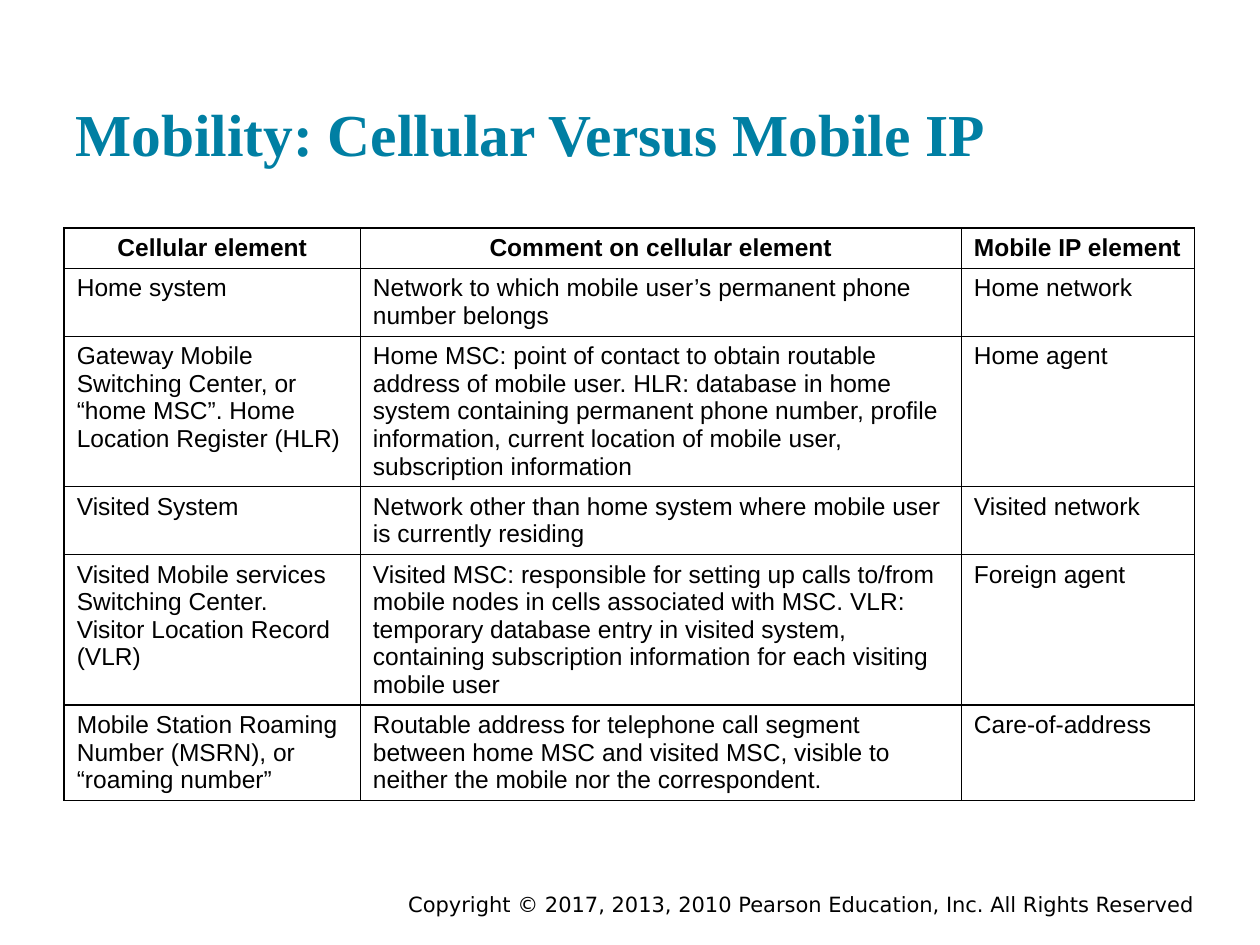
from dataclasses import dataclass

from lxml import etree
from pptx import Presentation
from pptx.dml.color import RGBColor
from pptx.enum.text import MSO_ANCHOR as Anchor, MSO_AUTO_SIZE as AutoSize, PP_ALIGN as Align
from pptx.oxml.ns import qn
from pptx.util import Inches, Pt


@dataclass(frozen=True)
class Theme:
    title_color: str = "007FA3"
    ink: str = "000000"
    title_font: str = "Times New Roman"
    table_font: str = "Arial"
    footer_font: str = "DejaVu Sans"
    title_size: int = 34
    table_size: int = 14
    footer_size: int = 12
    border_width: int = 1


THEME = Theme()

TITLE = "Mobility: Cellular Versus Mobile IP"
COPYRIGHT = "Copyright © 2017, 2013, 2010 Pearson Education, Inc. All Rights Reserved"

COLUMN_WIDTHS = [2.35, 4.77, 1.85]
ROW_HEIGHTS = [0.32, 0.54, 1.19, 0.54, 1.19, 0.76]
HEADER_ALIGNS = [Align.CENTER, Align.CENTER, Align.LEFT]
ROWS = [
    ("Cellular element", "Comment on cellular element", "Mobile IP element"),
    ("Home system",
     "Network to which mobile user’s permanent phone number belongs",
     "Home network"),
    ("Gateway Mobile Switching Center, or “home MSC”. Home Location Register (HLR)",
     "Home MSC: point of contact to obtain routable address of mobile user. "
     "HLR: database in home system containing permanent phone number, profile "
     "information, current location of mobile user, subscription information",
     "Home agent"),
    ("Visited System",
     "Network other than home system where mobile user is currently residing",
     "Visited network"),
    ("Visited Mobile services Switching Center.\nVisitor Location Record (VLR)",
     "Visited MSC: responsible for setting up calls to/from mobile nodes in cells "
     "associated with MSC. VLR: temporary database entry in visited system, "
     "containing subscription information for each visiting mobile user",
     "Foreign agent"),
    ("Mobile Station Roaming Number (MSRN), or “roaming number”",
     "Routable address for telephone call segment between home MSC and visited MSC, "
     "visible to neither the mobile nor the correspondent.",
     "Care-of-address"),
]


def set_text(tf, text, font, size, color, align=Align.LEFT, bold=False):
    tf.text = text
    for p in tf.paragraphs:
        p.alignment = align
        p.font.name = font
        p.font.size = Pt(size)
        p.font.bold = bold
        p.font.color.rgb = RGBColor.from_string(color)


def add_title(s):
    title = s.shapes.title
    title.left, title.top = Inches(0.5), Inches(0.24)
    title.width, title.height = Inches(9), Inches(1.2)
    tf = title.text_frame
    tf.auto_size = AutoSize.NONE
    tf.vertical_anchor = Anchor.BOTTOM
    tf.margin_top = tf.margin_bottom = Inches(0.1)
    set_text(tf, TITLE, THEME.title_font, THEME.title_size, THEME.title_color, bold=True)


def set_borders(cell):
    """Draw all four sides; the lines must come before the fill in the XML."""
    tc_pr = cell._tc.get_or_add_tcPr()
    for i, side in enumerate(("lnL", "lnR", "lnT", "lnB")):
        ln = etree.Element(qn(f"a:{side}"), w=str(Pt(THEME.border_width)))
        fill = etree.SubElement(ln, qn("a:solidFill"))
        etree.SubElement(fill, qn("a:srgbClr"), val=THEME.ink)
        tc_pr.insert(i, ln)


def add_comparison_table(s):
    table = s.shapes.add_table(
        len(ROWS), len(COLUMN_WIDTHS), Inches(0.51), Inches(1.81),
        Inches(sum(COLUMN_WIDTHS)), Inches(sum(ROW_HEIGHTS))).table
    table.horz_banding = False
    for column, width in zip(table.columns, COLUMN_WIDTHS):
        column.width = Inches(width)
    for r, (row, height) in enumerate(zip(table.rows, ROW_HEIGHTS)):
        row.height = Inches(height)
        is_header = r == 0
        for cell, text, header_align in zip(row.cells, ROWS[r], HEADER_ALIGNS):
            cell.fill.background()
            set_borders(cell)
            set_text(cell.text_frame, text, THEME.table_font, THEME.table_size, THEME.ink,
                     header_align if is_header else Align.LEFT, is_header)


def add_copyright(s):
    tf = s.shapes.add_textbox(Inches(2.92), Inches(7.05), Inches(6.66), Inches(0.25)).text_frame
    tf.word_wrap = True
    tf.vertical_anchor = Anchor.MIDDLE
    set_text(tf, COPYRIGHT, THEME.footer_font, THEME.footer_size, THEME.ink, Align.RIGHT)


def main():
    prs = Presentation()
    prs.slide_width, prs.slide_height = Inches(10), Inches(7.5)
    s = prs.slides.add_slide(prs.slide_layouts[5])
    add_title(s)
    add_comparison_table(s)
    add_copyright(s)
    prs.save("out.pptx")


if __name__ == "__main__":
    main()
